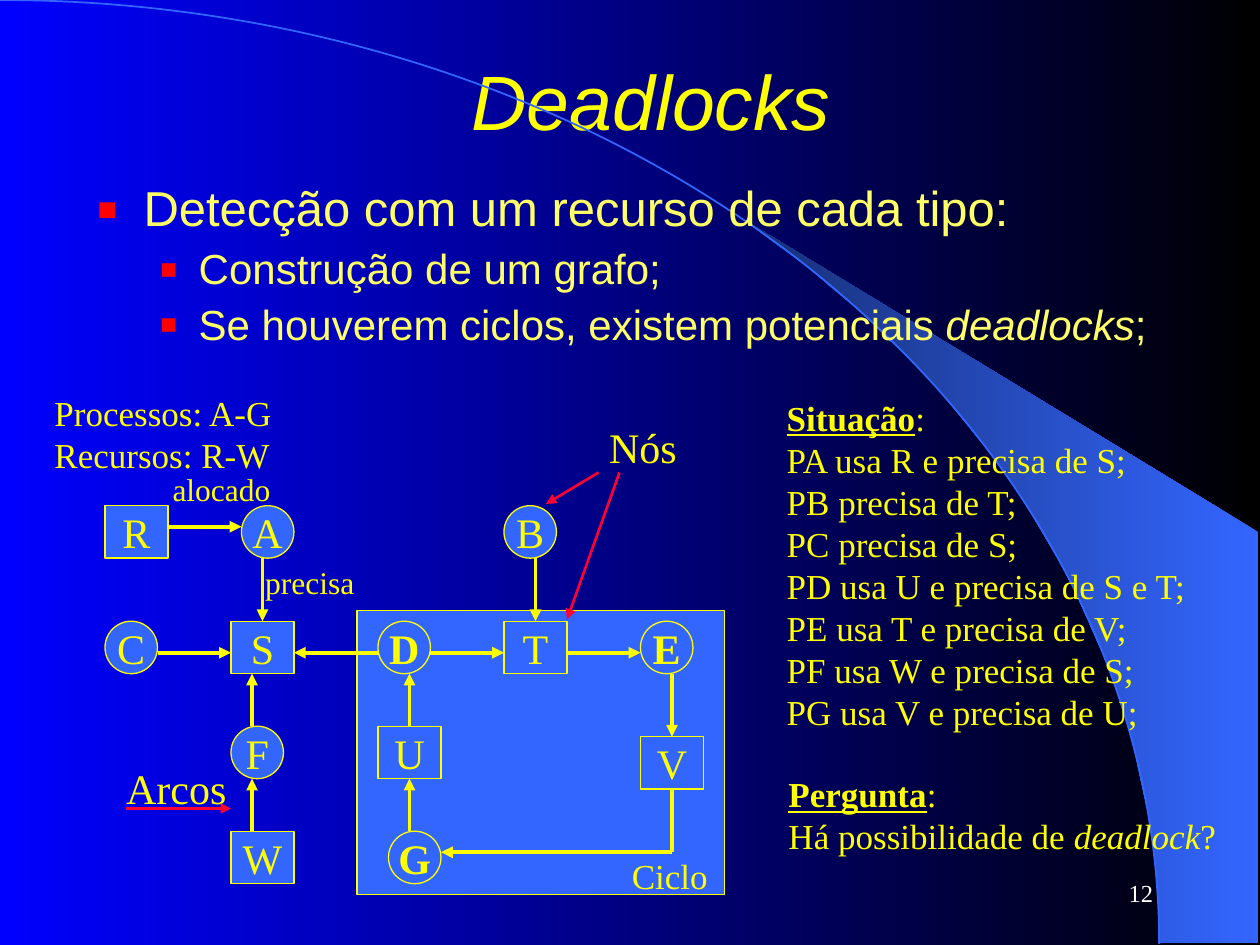
import math

import pptx
import pptx.util
import pptx.dml.color
import pptx.enum.shapes
import pptx.enum.text
import pptx.oxml
import pptx.oxml.ns

YELLOW, BLUE, RED = "FFFF00", "3366FF", "FF0033"
SERIF, SANS = "Times New Roman", "Arial"
Pt = pptx.util.Pt
SHAPES = pptx.enum.shapes.MSO_SHAPE
ALIGN = pptx.enum.text.PP_ALIGN
ANCHOR = pptx.enum.text.MSO_ANCHOR

# Content: a paragraph is a list of (text, style), style letters being b, i, u
TITLE = [[("Deadlocks", "i")]]
BULLETS = [
    (0, [("Detecção com um recurso de cada tipo:", "")]),
    (1, [("Construção de um grafo;", "")]),
    (1, [("Se houverem ciclos, existem potenciais ", ""), ("deadlocks", "i"), (";", "")]),
]
# Per level: size, left margin, hanging indent, space before
LEVELS = [(28, 27, 27, 7), (24, 58.5, 22.5, 6)]

SITUATION = ["PA usa R e precisa de S;", "PB precisa de T;", "PC precisa de S;",
             "PD usa U e precisa de S e T;", "PE usa T e precisa de V;",
             "PF usa W e precisa de S;", "PG usa V e precisa de U;"]
LABELS = [  # left, top, width, height, size, paragraphs
    (354, 484.5, 60, 31.5, 20, [[("Ciclo", "")]]),
    (24, 220, 142, 55.5, 20, [[("Processos: A-G", "")], [("Recursos: R-W", "")]]),
    (442.5, 223, 246, 199.5, 20,
     [[("Situação", "bu"), (":", "")]] + [[(line, "")] for line in SITUATION]),
    (443.5, 438, 261, 55.5, 20,
     [[("Pergunta", "bu"), (":", "")],
      [("Há possibilidade de ", ""), ("deadlock", "i"), ("?", "")]]),
    (341, 237.5, 56, 36, 24, [[("Nós", "")]]),
    (65, 432, 75, 36, 24, [[("Arcos", "")]]),
    (91.5, 265, 74, 29, 18, [[("alocado", "")]]),
    (144.5, 318, 69, 29, 18, [[("precisa", "")]]),
]

# Graph: resources are rectangles, processes are circles; (left, top)
NODE = 30
RESOURCE_WIDTH = 36
ROWS = (289, 355, 415, 475)
RESOURCES = {"R": (60, ROWS[0]), "S": (132, ROWS[1]), "W": (132, ROWS[3]),
             "U": (216, ROWS[2]), "T": (288, ROWS[1]), "V": (366, 421)}
PROCESSES = {"A": (138, ROWS[0]), "C": (60, ROWS[1]), "F": (132, ROWS[2]),
             "D": (216, ROWS[1]), "B": (288, ROWS[0]), "E": (366, ROWS[1]),
             "G": (222, ROWS[3])}
CYCLE_PROCESSES = "DEG"

AXIS = 373  # height of the arrows in the middle row
TOP, BOTTOM = 0, 2
ARCS = [  # from, to, joined start, joined end, arrowhead
    ((96, 301), (138, 301), None, None, True),
    ((90, AXIS), (132, AXIS), None, None, True),
    ((246, AXIS), (288, AXIS), None, None, True),
    ((324, AXIS), (366, AXIS), None, None, True),
    ((216, AXIS), (168, AXIS), None, None, True),
    ((150, 319), (150, 355), None, ("S", TOP), True),
    ((306, 319), (306, 355), None, ("T", TOP), True),
    ((384, 385), (384, 421), None, ("V", TOP), True),
    ((144, 415), (144, 385), None, None, True),
    ((144, 475), (144, 445), None, None, True),
    ((234, 415), (234, 385), ("U", TOP), None, True),
    ((234, 475), (234, 445), None, ("U", BOTTOM), True),
    ((384, 451), (384, 487), ("V", BOTTOM), None, False),
    ((384, 487), (252, 487), None, None, True),
]
POINTERS = [((342, 270), (312, 288)), ((354, 270), (324, 354)), ((72, 462), (132, 462))]


def color(value):
    return pptx.dml.color.RGBColor.from_string(value)


def add_xml(parent, tag, **attributes):
    element = pptx.oxml.parse_xml(f'<a:{tag} {pptx.oxml.ns.nsdecls("a")}/>')
    for name, value in attributes.items():
        element.set(name, str(value))
    parent.append(element)
    return element


def shade(fill, first, last):
    fill.gradient()
    fill.gradient_angle = 180
    for stop, value in zip(fill.gradient_stops, (first, last)):
        stop.color.rgb = color(value)


def add_spans(para, spans, size, font, value):
    for text, style in spans:
        span = para.add_run()
        span.text = text
        span.font.size, span.font.name = Pt(size), font
        span.font.color.rgb = color(value)
        span.font.bold, span.font.italic = "b" in style, "i" in style
        span.font.underline = "u" in style


def write(box, paragraphs, size, font=SERIF, value=YELLOW, align=ALIGN.LEFT,
          anchor=ANCHOR.TOP, wrap=False):
    frame = box.text_frame
    frame.word_wrap, frame.vertical_anchor = wrap, anchor
    for index, spans in enumerate(paragraphs):
        para = frame.add_paragraph() if index else frame.paragraphs[0]
        para.alignment = align
        add_spans(para, spans, size, font, value)


def add_box(left, top, width, height):
    return page.shapes.add_textbox(Pt(left), Pt(top), Pt(width), Pt(height))


def add_outline(kind, left, top, width, height, fill=BLUE, line=YELLOW, weight=0.75):
    shape = page.shapes.add_shape(kind, Pt(left), Pt(top), Pt(width), Pt(height))
    shape.shadow.inherit = False
    if fill:
        shape.fill.solid()
        shape.fill.fore_color.rgb = color(fill)
    else:
        shape.fill.background()
    shape.line.color.rgb, shape.line.width = color(line), Pt(weight)
    return shape


def add_arrow(start, end, value, weight, head=True):
    arrow = page.shapes.add_connector(
        pptx.enum.shapes.MSO_CONNECTOR.STRAIGHT, *map(Pt, start + end))
    arrow.line.color.rgb, arrow.line.width = color(value), Pt(weight)
    if head:
        add_xml(arrow.line._get_or_add_ln(), "tailEnd", type="triangle")
    add_xml(arrow._element.spPr, "effectLst")
    return arrow


deck = pptx.Presentation()
deck.slide_width, deck.slide_height = Pt(720), Pt(540)
page = deck.slides.add_slide(deck.slide_layouts[5])

# Background: gradient, wedge along an elliptical curve, and the curve itself
shade(page.background.fill, "000000", "0000FF")
RADIUS_X, RADIUS_Y = 662.4, 539.3
curve = [(RADIUS_X * math.sin(math.radians(angle)),
          RADIUS_Y * (1 - math.cos(math.radians(angle)))) for angle in range(40, 91, 2)]
builder = page.shapes.build_freeform(*curve[0], scale=float(Pt(1)))
builder.add_line_segments(curve[1:] + [(719.3, RADIUS_Y), (719.3, 304.5)], close=True)
wedge = builder.convert_to_shape()
wedge.shadow.inherit = False
shade(wedge.fill, BLUE, "172F75")
wedge.line.fill.background()
add_outline(SHAPES.ARC, -RADIUS_X, 0, 2 * RADIUS_X, 2 * RADIUS_Y, None, BLUE, 1)

# Title and bullets
title = page.shapes.title
title.left, title.top, title.width, title.height = map(Pt, (48, 12, 648, 90))
write(title, TITLE, 44, SANS, align=ALIGN.CENTER, anchor=ANCHOR.MIDDLE, wrap=True)

body = add_box(48, 102, 648, 108)
body.text_frame.word_wrap = True
for index, (level, spans) in enumerate(BULLETS):
    size, margin, hanging, before = LEVELS[level]
    para = body.text_frame.add_paragraph() if index else body.text_frame.paragraphs[0]
    para.level, para.alignment, para.line_spacing = level, ALIGN.JUSTIFY, 0.9
    if index:
        para.space_before = Pt(before)
    properties = para._p.get_or_add_pPr()
    properties.set("marL", str(Pt(margin)))
    properties.set("indent", str(-Pt(hanging)))
    add_xml(add_xml(properties, "buClr"), "srgbClr", val="FF0000")
    add_xml(properties, "buSzPct", val=130000)
    add_xml(properties, "buFont", typeface=SANS)
    add_xml(properties, "buChar", char="▪")
    add_spans(para, spans, size, SANS, "FFFF66")

# Graph
add_outline(SHAPES.RECTANGLE, 204, 349, 210, 162)
nodes = {}
for kind, width, group in ((SHAPES.RECTANGLE, RESOURCE_WIDTH, RESOURCES),
                           (SHAPES.OVAL, NODE, PROCESSES)):
    for name, (left, top) in group.items():
        nodes[name] = add_outline(kind, left, top, width, NODE)
        style = "b" if name in CYCLE_PROCESSES else ""
        write(nodes[name], [[(name, style)]], 24, align=ALIGN.CENTER, anchor=ANCHOR.MIDDLE)
for start, end, source, target, head in ARCS:
    arrow = add_arrow(start, end, YELLOW, 2.25, head)
    if source:
        arrow.begin_connect(nodes[source[0]], source[1])
    if target:
        arrow.end_connect(nodes[target[0]], target[1])

# Labels, pointers and page number
for left, top, width, height, size, paragraphs in LABELS:
    label = add_box(left, top, width, height)
    write(label, paragraphs, size, wrap=True)
    label.text_frame.auto_size = pptx.enum.text.MSO_AUTO_SIZE.SHAPE_TO_FIT_TEXT
for start, end in POINTERS:
    add_arrow(start, end, RED, 1.5)
write(add_box(516, 492, 150, 36), [[("12", "")]], 14, value="FFFFFF",
      align=ALIGN.RIGHT, anchor=ANCHOR.MIDDLE, wrap=True)

deck.save("out.pptx")
